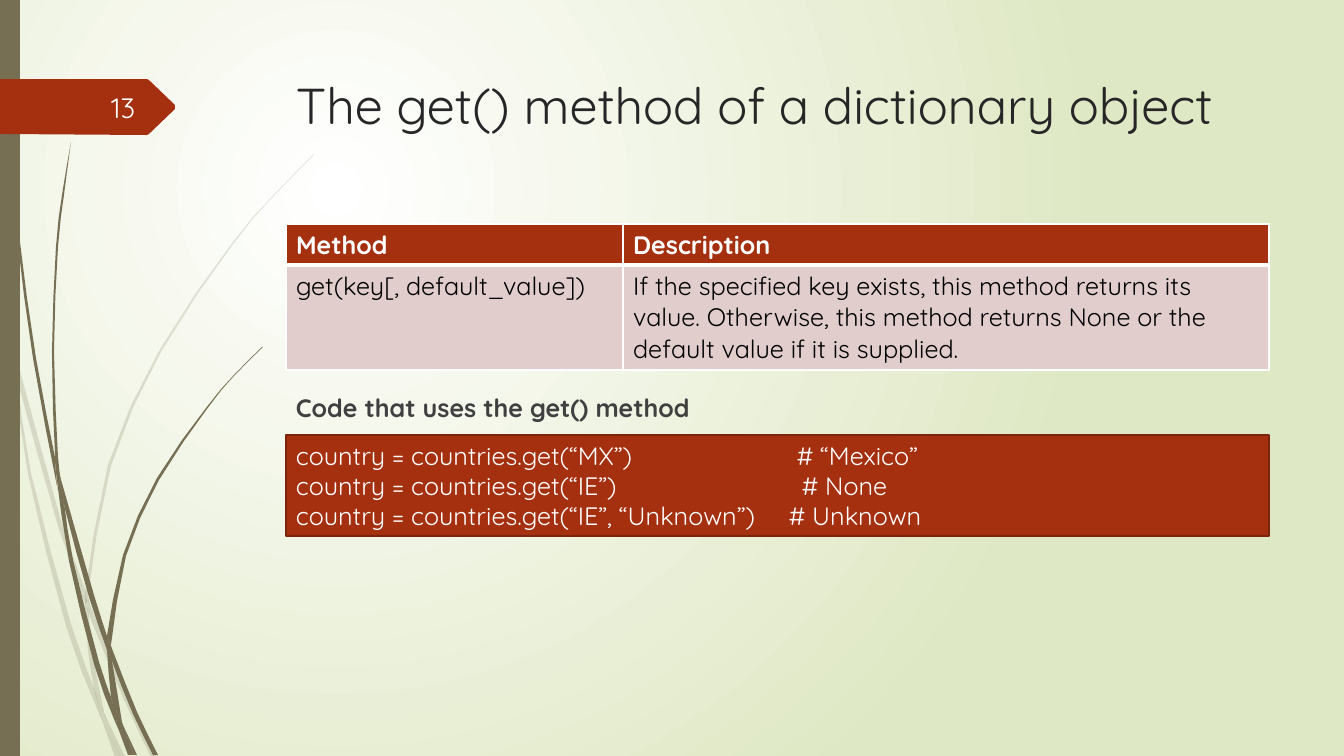
from lxml.etree import SubElement
from pptx import Presentation
from pptx.dml.color import RGBColor
from pptx.enum.shapes import MSO_SHAPE
from pptx.enum.text import MSO_ANCHOR, PP_ALIGN
from pptx.oxml.ns import qn
from pptx.util import Pt

TITLE = "The get() method of a dictionary object"
PAGE = "13"
HEADING = "Code that uses the get() method"
ROWS = [
    ("Method", "Description"),
    ("get(key[, default_value])",
     "If the specified key exists, this method returns its value. "
     "Otherwise, this method returns None or the default value if it is supplied."),
]
CODE = [
    ("country = countries.get(“MX”)", "# “Mexico”", 501),
    ("country = countries.get(“IE”)", "# None", 506),
    ("country = countries.get(“IE”, “Unknown”)", "# Unknown", 493),
]
FAINT_BLADES = [
    ([(0, 284), (9, 325), (11, 353)], [(10, 347), (0, 301)]),
    ([(14, 348), (62, 524), (86, 591), (85, 604)], [(58, 526), (17, 379), (14, 348)]),
    ([(89, 601), (93, 612), (128, 698), (156, 757)], [(151, 757), (124, 700), (89, 615)]),
    ([(106, 717), (125, 757)], [(120, 757)]),
    ([(11, 353), (28, 474), (66, 626), (93, 699), (102, 720)],
     [(100, 713), (94, 688), (71, 624), (31, 473), (17, 379), (11, 353)]),
    ([(85, 604), (88, 651), (94, 688), (97, 698), (106, 717)],
     [(104, 712), (92, 651), (89, 615), (89, 613)]),
    ([(314, 154), (270, 199), (230, 246), (159, 351), (108, 465), (86, 589), (86, 591)],
     [(89, 601), (89, 589), (111, 466), (161, 352), (231, 247), (270, 200), (314, 155)]),
    ([(102, 720), (115, 757)], [(120, 757)]),
    ([(86, 591), (85, 604), (89, 613)], [(89, 615), (89, 601)]),
    ([(94, 688), (100, 713), (102, 720), (120, 757)], [(106, 717), (97, 698)]),
]
DARK_BLADES = [
    ([(3, 0), (7, 111), (17, 235), (33, 358), (56, 481), (57, 485)],
     [(55, 461), (55, 457), (36, 358), (19, 234), (8, 110), (4, 0)]),
    ([(60, 476), (65, 509), (89, 597), (107, 650)], [(107, 638), (107, 636), (94, 595), (60, 476)]),
    ([(111, 646), (112, 661), (133, 714), (153, 755)], [(158, 755), (137, 712), (114, 654)]),
    ([(57, 481), (69, 561), (94, 664), (112, 714), (118, 728)],
     [(117, 723), (111, 697), (99, 662), (73, 560), (65, 509)]),
    ([(71, 142), (62, 195), (56, 247), (52, 352), (55, 453), (60, 476)],
     [(58, 457), (54, 352), (58, 247), (64, 195), (71, 142)]),
    ([(123, 725), (134, 755)], [(137, 755)]),
    ([(55, 453), (55, 457), (57, 481), (65, 509)], [(60, 476)]),
    ([(262, 347), (233, 376), (206, 408), (157, 478), (123, 555), (107, 636)],
     [(111, 646), (112, 638), (126, 556), (159, 480), (207, 409), (233, 377), (263, 347)]),
    ([(118, 728), (128, 755)], [(132, 755)]),
    ([(107, 650), (111, 697), (117, 712), (123, 725)], [(122, 722), (112, 661), (110, 656)]),
    ([(107, 636), (107, 650), (110, 656), (112, 661)], [(111, 646)]),
    ([(111, 697), (117, 723), (118, 728), (131, 755)], [(134, 755), (123, 725), (117, 712)]),
]
TAG = [(0, 79), (147, 79), (149, 80), (175, 105), (175, 109), (149, 134), (147, 135), (0, 134)]

FONT = "Quicksand"
WHITE = RGBColor(0xFF, 0xFF, 0xFF)
BLACK = RGBColor(0, 0, 0)
GREEN = RGBColor(0xDF, 0xE8, 0xC4)
OLIVE = RGBColor(0x76, 0x6F, 0x54)
RUST = RGBColor(0xA5, 0x30, 0x10)
DARK_RUST = RGBColor(0x7A, 0x24, 0x0C)
PINK = RGBColor(0xE1, 0xCD, 0xCC)
INK = RGBColor(0x26, 0x26, 0x26)
GREY = RGBColor(0x40, 0x40, 0x40)
PAGE_WHITE = RGBColor(0xFE, 0xFF, 0xFF)

PX = 914400 / 100.8
W, H = 1344, 756
LEFT, WIDTH = 286, 983
COLS = (337, 646)
HEIGHTS = (41, 105)


def emu(v):
    return round(v * PX)


def box(*at):
    return [emu(v) for v in at]


def paint(shape, color, line=None):
    shape.shadow.inherit = False
    shape.fill.solid()
    shape.fill.fore_color.rgb = color
    if line:
        shape.line.color.rgb = line
        shape.line.width = Pt(1.25)
    else:
        shape.line.fill.background()


def write(p, text, size, color, bold=False):
    r = p.add_run()
    r.text = text
    r.font.name = FONT
    r.font.size = Pt(size)
    r.font.bold = bold
    r.font.color.rgb = color


def add_text(at, text, size, color, bold=False, align=PP_ALIGN.LEFT, anchor=MSO_ANCHOR.TOP):
    tf = s.shapes.add_textbox(*box(*at)).text_frame
    tf.word_wrap = True
    tf.vertical_anchor = anchor
    tf.paragraphs[0].alignment = align
    write(tf.paragraphs[0], text, size, color, bold)


def smooth(points):
    padded = [points[0], *points, points[-1]]
    out = []
    for a, b, c, d in zip(padded, padded[1:], padded[2:], padded[3:]):
        middle = tuple((9 * (m + n) - k - q) / 16 for k, m, n, q in zip(a, b, c, d))
        out += [b, middle]
    return out + [points[-1]]


def add_outline(points, color):
    outline = [box(*point) for point in points]
    fb = s.shapes.build_freeform(*outline[0])
    fb.add_line_segments(outline[1:])
    sp = fb.convert_to_shape()
    paint(sp, color)
    return sp


def add_blade(edges, alpha=None):
    sp = add_outline([point for edge in edges for point in smooth(edge)], OLIVE)
    if alpha:
        color = sp._element.spPr.find(qn("a:solidFill"))[0]
        SubElement(color, qn("a:alpha")).set("val", str(alpha * 1000))


def add_border(cell, side, width):
    ln = SubElement(cell._tc.get_or_add_tcPr(), qn("a:ln" + side))
    ln.set("w", str(Pt(width)))
    SubElement(SubElement(ln, qn("a:solidFill")), qn("a:srgbClr")).set("val", str(WHITE))


prs = Presentation()
prs.slide_width, prs.slide_height = box(W, H)
s = prs.slides.add_slide(prs.slide_layouts[6])

fill = s.background.fill
fill.gradient()
for stop, color in zip(fill.gradient_stops, (WHITE, GREEN)):
    stop.color.rgb = color
lin = s._element.find(".//" + qn("a:lin"))
grad = lin.getparent()
grad.remove(lin)
radial = SubElement(grad, qn("a:path"))
radial.set("path", "circle")
focus = SubElement(radial, qn("a:fillToRect"))
for side, share in zip("ltrb", (50, 50, 100, 100)):
    focus.set(side, str(share * 1000))

for blade in FAINT_BLADES:
    add_blade(blade, 20)
for blade in DARK_BLADES:
    add_blade(blade)
paint(s.shapes.add_shape(MSO_SHAPE.RECTANGLE, *box(0, 0, 20, H)), OLIVE)
add_outline(TAG, RUST)

add_text((286, 69, WIDTH, 141), TITLE, 36, INK)
add_text((59, 87, 86, 40), PAGE, 20, PAGE_WHITE, align=PP_ALIGN.RIGHT, anchor=MSO_ANCHOR.MIDDLE)
add_text((LEFT, 387, WIDTH, 42), HEADING, 18, GREY, True)

table = s.shapes.add_table(len(ROWS), len(COLS), *box(LEFT, 224, WIDTH, sum(HEIGHTS))).table
for col, width in zip(table.columns, COLS):
    col.width = emu(width)
for i, (row, height, texts) in enumerate(zip(table.rows, HEIGHTS, ROWS)):
    row.height = emu(height)
    header = i == 0
    for cell, text in zip(row.cells, texts):
        for side in "LRTB":
            heavy = side == ("B" if header else "T")
            add_border(cell, side, 3 if heavy else 1)
        cell.fill.solid()
        cell.fill.fore_color.rgb = RUST if header else PINK
        write(cell.text_frame.paragraphs[0], text, 18, WHITE if header else BLACK, header)

panel = s.shapes.add_shape(MSO_SHAPE.RECTANGLE, *box(LEFT, 435, WIDTH, 101))
paint(panel, RUST, DARK_RUST)
tf = panel.text_frame
tf.word_wrap = True
tf.vertical_anchor = MSO_ANCHOR.MIDDLE
for i, (call, result, stop) in enumerate(CODE):
    p = tf.add_paragraph() if i else tf.paragraphs[0]
    p.alignment = PP_ALIGN.LEFT
    tab = SubElement(SubElement(p._p.get_or_add_pPr(), qn("a:tabLst")), qn("a:tab"))
    tab.set("pos", str(emu(stop)))
    tab.set("algn", "l")
    write(p, call + "\t", 18, WHITE)
    write(p, result, 18, WHITE)

prs.save("out.pptx")
